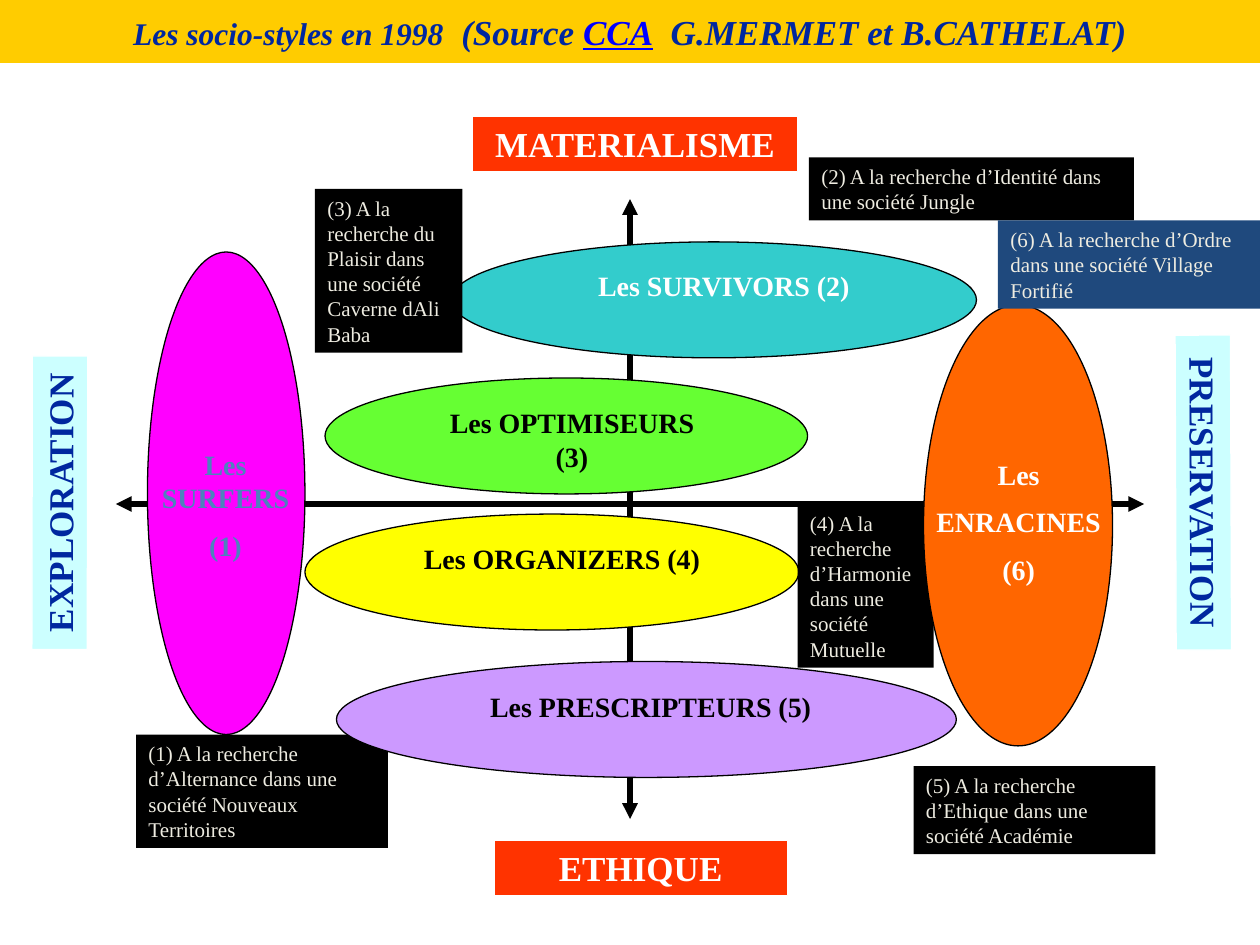
from dataclasses import dataclass

import lxml.etree
import pptx
import pptx.dml.color
import pptx.enum.shapes
import pptx.enum.text
import pptx.oxml.ns
import pptx.util

Inches = pptx.util.Inches
Align = pptx.enum.text.PP_ALIGN
Anchor = pptx.enum.text.MSO_ANCHOR
Preset = pptx.enum.shapes.MSO_SHAPE


@dataclass(frozen=True)
class Theme:
    font: str = "Times New Roman"
    navy: str = "00279F"
    white: str = "FFFFFF"
    black: str = "000000"
    gold: str = "FFCC00"
    red: str = "FF3300"
    pale_cyan: str = "CCFFFF"
    cyan: str = "33CCCC"
    magenta: str = "FF00FF"
    green: str = "66FF33"
    yellow: str = "FFFF00"
    lilac: str = "CC99FF"
    orange: str = "FF6600"
    ivory: str = "EEECE1"
    blue: str = "4F81BD"
    dark_blue: str = "1F497D"
    link: str = "0000FF"
    heading_size: int = 20
    title_size: int = 18
    label_size: int = 16
    note_size: int = 12


def color(value):
    return pptx.dml.color.RGBColor.from_string(value)


class SlideBuilder:
    """Holds the theme and the current slide."""

    def __init__(self, slide, theme):
        self.slide = slide
        self.theme = theme

    def format_font(self, font, size, ink, **values):
        values = {"name": self.theme.font, "size": pptx.util.Pt(size), **values}
        for name, value in values.items():
            setattr(font, name, value)
        font.color.rgb = color(ink)

    def add_lines(self, shape, lines, size, ink, bold=True, align=Align.CENTER):
        frame = shape.text_frame
        frame.word_wrap = True
        frame.vertical_anchor = Anchor.TOP
        for index, line in enumerate(lines):
            paragraph = frame.paragraphs[0] if index == 0 else frame.add_paragraph()
            paragraph.alignment = align
            if index:
                paragraph.space_before = pptx.util.Pt(size / 2)
            run = paragraph.add_run()
            run.text = line
            self.format_font(run.font, size, ink, bold=bold)

    def title(self, box, fill, runs):
        shape = self.slide.shapes.title
        for name, value in zip(("left", "top", "width", "height"), box):
            setattr(shape, name, Inches(value))
        shape.fill.solid()
        shape.fill.fore_color.rgb = color(fill)
        frame = shape.text_frame
        frame.word_wrap = True
        frame.vertical_anchor = Anchor.MIDDLE
        paragraph = frame.paragraphs[0]
        paragraph.alignment = Align.CENTER
        for text, size, ink, underline in runs:
            run = paragraph.add_run()
            run.text = text
            self.format_font(run.font, size, ink, bold=True, italic=True, underline=underline)

    def shape(self, preset, box, fill, line=None):
        shape = self.slide.shapes.add_shape(preset, *map(Inches, box))
        shape.shadow.inherit = False
        shape.fill.solid()
        shape.fill.fore_color.rgb = color(fill)
        if line:
            shape.line.color.rgb = color(line)
            shape.line.width = pptx.util.Pt(0.75)
        else:
            shape.line.fill.background()
        return shape

    def pole(self, box, text, fill, ink, rotation=0):
        shape = self.shape(Preset.RECTANGLE, box, fill, self.theme.white)
        shape.rotation = rotation
        self.add_lines(shape, [text], self.theme.heading_size, ink)

    def ellipse(self, box, fill):
        self.shape(Preset.OVAL, box, fill, self.theme.black)

    def label(self, box, lines, ink):
        shape = self.slide.shapes.add_textbox(*map(Inches, box))
        self.add_lines(shape, lines, self.theme.label_size, ink)

    def note(self, box, text, fill=None):
        shape = self.shape(Preset.RECTANGLE, box, fill or self.theme.black)
        self.add_lines(shape, [text], self.theme.note_size, self.theme.ivory, False, Align.LEFT)

    def axis(self, *ends):
        connector = self.slide.shapes.add_connector(
            pptx.enum.shapes.MSO_CONNECTOR.STRAIGHT, *map(Inches, ends))
        connector.line.color.rgb = color(self.theme.black)
        connector.line.width = pptx.util.Pt(3)
        properties = connector._element.spPr
        line = properties.find(pptx.oxml.ns.qn("a:ln"))
        for end in ("a:headEnd", "a:tailEnd"):
            lxml.etree.SubElement(line, pptx.oxml.ns.qn(end), type="triangle")
        lxml.etree.SubElement(properties, pptx.oxml.ns.qn("a:effectLst"))


def main():
    theme = Theme()
    presentation = pptx.Presentation()
    presentation.slide_width = Inches(10)
    presentation.slide_height = Inches(7.5)
    slide = presentation.slides.add_slide(presentation.slide_layouts[5])
    builder = SlideBuilder(slide, theme)

    # Title band
    builder.title((0, 0, 10, 0.5), theme.gold, [
        ("Les socio-styles en 1998", theme.title_size, theme.navy, False),
        ("  (Source ", theme.heading_size, theme.navy, False),
        ("CCA", theme.heading_size, theme.link, True),
        ("  G.MERMET et B.CATHELAT)", theme.heading_size, theme.navy, False),
    ])

    # Poles and axes
    builder.pole((3.75, 0.92, 2.58, 0.44), "MATERIALISME", theme.red, theme.white)
    builder.pole((3.92, 6.67, 2.33, 0.44), "ETHIQUE", theme.red, theme.white)
    builder.pole((8.3, 3.69, 2.5, 0.44), "PRESERVATION", theme.pale_cyan, theme.navy, 89.8)
    builder.pole((-0.69, 3.77, 2.33, 0.44), "EXPLORATION", theme.pale_cyan, theme.navy, 270.1)
    builder.axis(5, 1.58, 5, 6.5)
    builder.axis(0.92, 4, 9.08, 4)

    # Surfers and survivors
    builder.note((1.08, 5.83, 2, 0.9),
                 "(1) A la recherche d’Alternance dans une société Nouveaux Territoires")
    builder.ellipse((3.58, 1.92, 4.17, 0.92), theme.cyan)
    builder.ellipse((1.17, 2, 1.25, 3.83), theme.magenta)
    builder.label((1, 3.5, 1.58, 1.04), ["Les SURFERS", "(1)"], theme.blue)
    builder.label((4.58, 2.08, 2.33, 0.37), ["Les SURVIVORS (2)"], theme.white)
    builder.note((6.42, 1.25, 2.58, 0.5),
                 "(2) A la recherche d’Identité dans une société Jungle")

    # Optimiseurs
    builder.ellipse((2.58, 3, 3.83, 0.92), theme.green)
    builder.label((3.33, 3.17, 2.42, 0.64), ["Les OPTIMISEURS (3)"], theme.black)
    builder.note((2.5, 1.5, 1.17, 1.3),
                 "(3) A la recherche du Plaisir dans une société Caverne dAli Baba")

    # Organizers
    builder.ellipse((2.42, 4.08, 3.92, 0.92), theme.yellow)
    builder.label((3.25, 4.25, 2.42, 0.37), ["Les ORGANIZERS (4)"], theme.black)
    builder.note((6.33, 4, 1.08, 1.3),
                 "(4) A la recherche d’Harmonie dans une société Mutuelle")

    # Prescripteurs
    builder.ellipse((2.67, 5.25, 4.92, 0.92), theme.lilac)
    builder.label((3.75, 5.42, 2.83, 0.37), ["Les PRESCRIPTEURS (5)"], theme.black)
    builder.note((7.25, 6.08, 1.92, 0.7),
                 "(5) A la recherche d’Ethique dans une société Académie")

    # Enracinés
    builder.ellipse((7.33, 2.42, 1.5, 3.5), theme.orange)
    builder.label((6.92, 3.58, 2.33, 1.17), ["Les", "ENRACINES", "(6)"], theme.white)
    builder.note((7.92, 1.75, 2.08, 0.7),
                 "(6) A la recherche d’Ordre dans une société Village Fortifié", theme.dark_blue)

    presentation.save("out.pptx")


if __name__ == "__main__":
    main()
